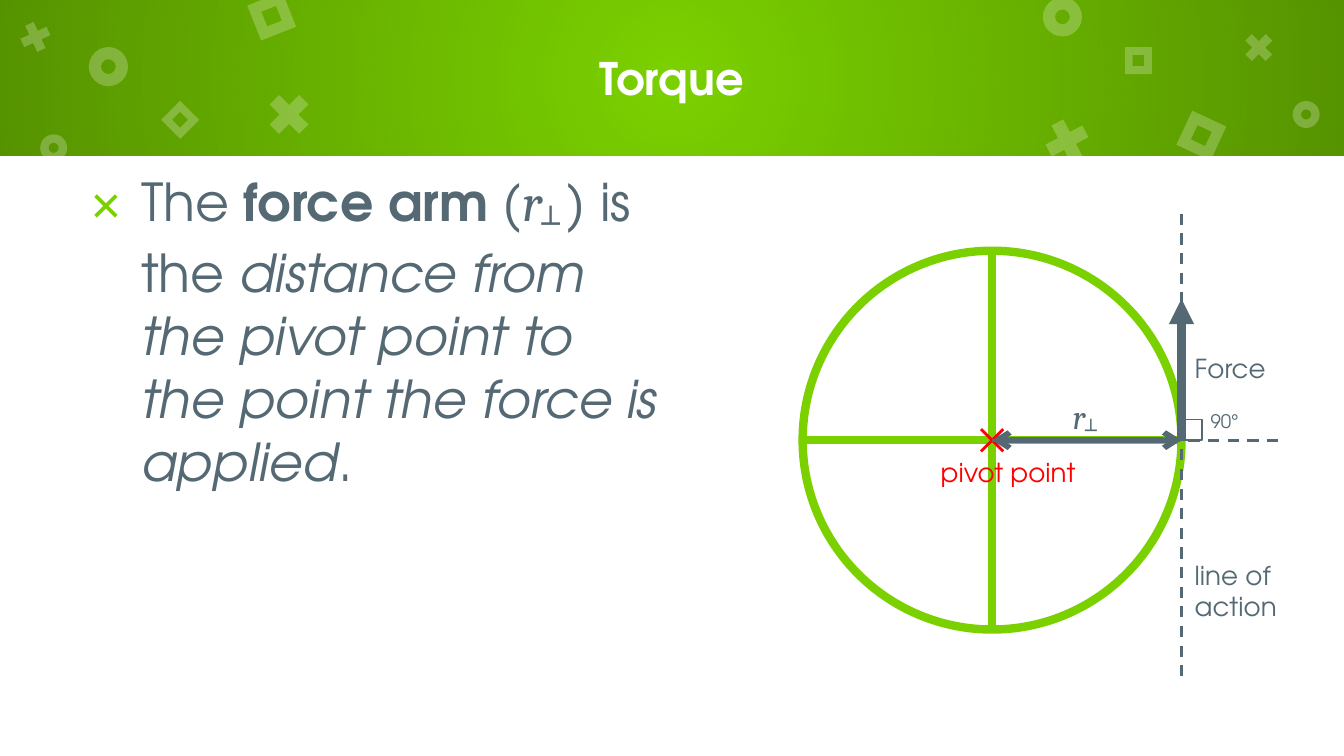
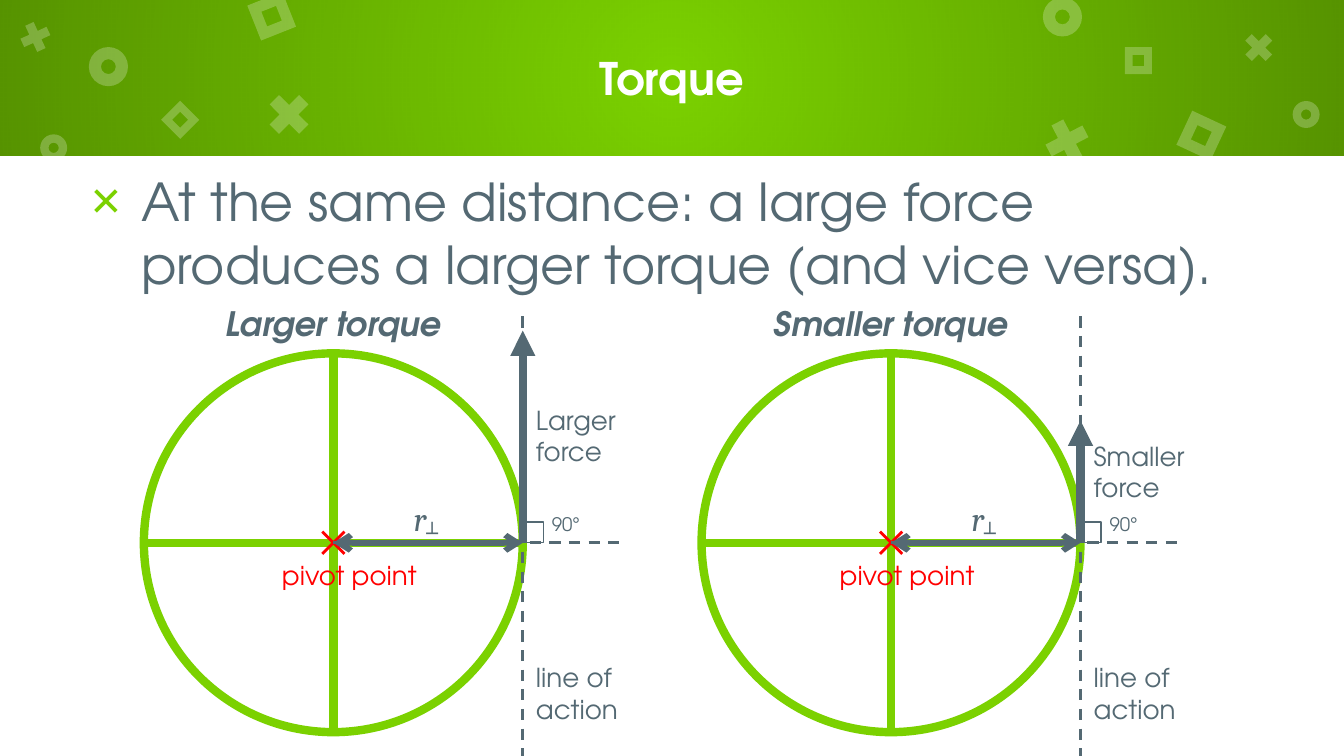
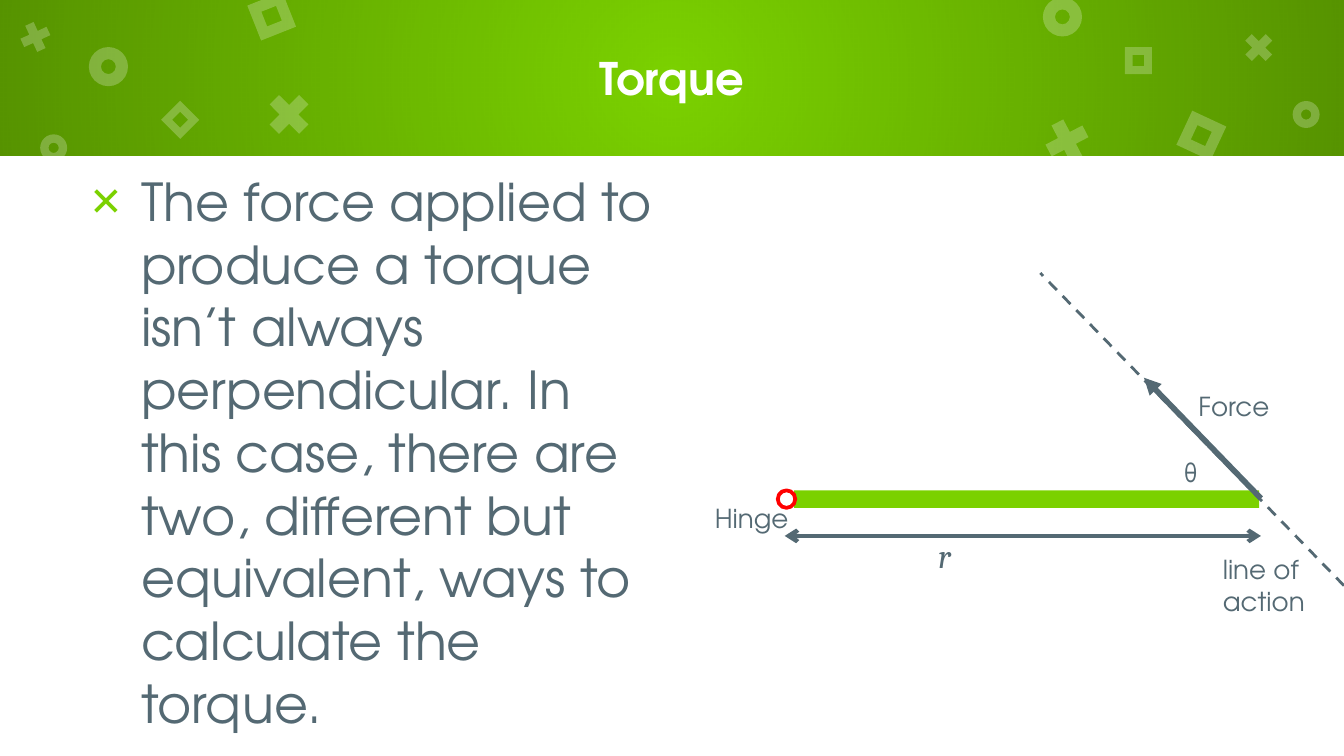
"""Build three slides that explain torque with wheel and hinge diagrams."""
from lxml.etree import SubElement
from pptx import Presentation
from pptx.dml.color import RGBColor
from pptx.enum.dml import MSO_LINE
from pptx.enum.shapes import MSO_CONNECTOR, MSO_SHAPE as SHAPE
from pptx.enum.text import MSO_ANCHOR, MSO_AUTO_SIZE, PP_ALIGN
from pptx.oxml import parse_xml
from pptx.oxml.ns import nsdecls, qn
from pptx.util import Cm, Pt

COLORS = {"green": "7BD100", "slate": "546973", "red": "FF0000",
          "white": "FFFFFF", "black": "000000"}
SANS, MATH = "TeX Gyre Adventor", "Cambria"
WIDTH, HEIGHT, BAND = 25.4, 14.29, 2.95
RADIUS = 3.58
ADJUST = {SHAPE.DONUT: 0.31, SHAPE.MATH_MULTIPLY: 0.235, SHAPE.FRAME: 0.289}
CONFETTI = [
    (SHAPE.DONUT, 1.68, 0.89, 0.74, 0),
    (SHAPE.MATH_MULTIPLY, 4.93, 1.63, 1.07, 0),
    (SHAPE.FRAME, 4.78, -0.05, 0.71, 338.4),
    (SHAPE.DONUT, 19.71, -0.05, 0.74, 0),
    (SHAPE.MATH_MULTIPLY, 19.63, 2.13, 1.07, 17.5),
    (SHAPE.FRAME, 22.35, 2.21, 0.71, 25),
    (SHAPE.DONUT, 0.76, 2.54, 0.51, 0),
    (SHAPE.MATH_MULTIPLY, 0.3, 0.33, 0.74, 20.4),
    (SHAPE.FRAME, 3.15, 2.01, 0.51, 45),
    (SHAPE.DONUT, 24.43, 1.91, 0.51, 0),
    (SHAPE.MATH_MULTIPLY, 23.42, 0.53, 0.74, 0),
    (SHAPE.FRAME, 21.26, 0.89, 0.51, 0),
]
R_PERP = [("r", {"font": MATH, "italic": True}),
          ("┴", {"font": MATH, "baseline": -25})]


def rgb(name):
    """Return the named colour."""
    return RGBColor.from_string(COLORS[name])


def add_shape(shapes, kind, x, y, w, h, fill=None, line=None, weight=1):
    """Add a preset shape with a plain fill or outline."""
    sp = shapes.add_shape(kind, Cm(x), Cm(y), Cm(w), Cm(h))
    sp.shadow.inherit = False
    if fill:
        sp.fill.solid()
        sp.fill.fore_color.rgb = rgb(fill)
    else:
        sp.fill.background()
    if line:
        sp.line.color.rgb = rgb(line)
        sp.line.width = Pt(weight)
    else:
        sp.line.fill.background()
    return sp


def add_line(shapes, x1, y1, x2, y2, weight=1.5, color="slate",
             dash=False, head=None, tail=None):
    """Add a straight line with optional dashes and arrowheads."""
    ln = shapes.add_connector(MSO_CONNECTOR.STRAIGHT,
                              Cm(x1), Cm(y1), Cm(x2), Cm(y2))
    ln.line.color.rgb = rgb(color)
    ln.line.width = Pt(weight)
    if dash:
        ln.line.dash_style = MSO_LINE.DASH
    spPr = ln._element.spPr
    for tag, end in (("a:headEnd", head), ("a:tailEnd", tail)):
        if end:
            SubElement(spPr.find(qn("a:ln")), qn(tag)).set("type", end)
    SubElement(spPr, qn("a:effectLst"))


def add_run(p, text, size, color, font=SANS, bold=False, italic=False,
            baseline=0):
    """Add one formatted run to a paragraph."""
    r = p.add_run()
    r.text = text
    r.font.name, r.font.size = font, Pt(size)
    r.font.bold, r.font.italic = bold, italic
    r.font.color.rgb = rgb(color)
    if baseline:
        r._r.get_or_add_rPr().set("baseline", str(baseline * 1000))


def add_text(shapes, x, y, w, h, runs, size=14, color="slate", align=None):
    """Add a wrapped text box made of (text, format) runs."""
    tf = shapes.add_textbox(Cm(x), Cm(y), Cm(w), Cm(h)).text_frame
    tf.word_wrap = True
    tf.auto_size = MSO_AUTO_SIZE.SHAPE_TO_FIT_TEXT
    p = tf.paragraphs[0]
    p.alignment = align
    for text, style in runs:
        add_run(p, text, size, color, **style)
    return tf


def add_label(shapes, text, x, y, w=2.26, h=0.86, **options):
    """Add a label in a single style."""
    add_text(shapes, x, y, w, h, [(text, {})], **options)


def set_area(tf):
    """Give a title or body its even margins and fixed size."""
    tf.auto_size = MSO_AUTO_SIZE.NONE
    tf.margin_top = tf.margin_bottom = Cm(0.25)


def add_body(s, runs, w=11.48, h=10.72):
    """Add the bulleted statement below the band."""
    tf = add_text(s.shapes, 1.22, BAND, w, h, runs, size=28)
    set_area(tf)
    pPr = tf.paragraphs[0]._p.get_or_add_pPr()
    pPr.set("marL", str(Cm(1.2)))
    pPr.set("indent", str(-Cm(0.95)))
    SubElement(SubElement(pPr, qn("a:buClr")),
               qn("a:srgbClr")).set("val", COLORS["green"])
    SubElement(pPr, qn("a:buFont")).set("typeface", SANS)
    SubElement(pPr, qn("a:buChar")).set("char", "×")


def add_band(s):
    """Add the band that darkens towards its ends."""
    spPr = add_shape(s.shapes, SHAPE.RECTANGLE, 0, 0, WIDTH, BAND)._element.spPr
    stops = "".join(
        f'<a:gs pos="{pos}"><a:srgbClr val="{COLORS["black"]}">'
        f'<a:alpha val="{alpha}"/></a:srgbClr></a:gs>'
        for pos, alpha in ((0, 0), (100000, 30000)))
    grad = parse_xml(
        f'<a:gradFill {nsdecls("a")}><a:gsLst>{stops}</a:gsLst>'
        '<a:path path="circle"><a:fillToRect l="50000" t="50000" '
        'r="50000" b="50000"/></a:path></a:gradFill>')
    spPr.replace(spPr.find(qn("a:noFill")), grad)


def add_confetti(s):
    """Scatter the translucent symbols over the band."""
    for kind, x, y, size, turn in CONFETTI:
        sp = add_shape(s.shapes, kind, x, y, size, size, fill="white")
        sp.adjustments[0] = ADJUST[kind]
        sp.rotation = turn
        clr = sp._element.spPr.find(qn("a:solidFill")).find(qn("a:srgbClr"))
        SubElement(clr, qn("a:alpha")).set("val", "24000")


def add_slide(prs, title):
    """Add a slide with the shared backdrop and title."""
    s = prs.slides.add_slide(prs.slide_layouts[6])
    s.background.fill.solid()
    s.background.fill.fore_color.rgb = rgb("green")
    add_band(s)
    add_shape(s.shapes, SHAPE.RECTANGLE, 0, BAND, WIDTH, HEIGHT - BAND,
              fill="white")
    add_confetti(s)
    tf = add_text(s.shapes, 2.41, 0, 20.57, BAND, [(title, {"bold": True})],
                  size=24, color="white", align=PP_ALIGN.CENTER)
    set_area(tf)
    tf.vertical_anchor = MSO_ANCHOR.MIDDLE
    return s


def add_pivot(shapes, x, y, arm=0.21):
    """Mark the pivot point with a cross."""
    cross = shapes.add_group_shape().shapes
    for side in (-arm, arm):
        add_line(cross, x + side, y - arm, x - side, y + arm, color="red")


def add_wheel(s, x, y, force, force_text, label_y, label_h=0.86, caption=None):
    """Draw a wheel whose rim is pushed upwards at the point x, y."""
    g = s.shapes.add_group_shape().shapes
    hub = x - RADIUS
    add_label(g, "line of action", x, y + 2.12, h=1.45)
    add_shape(g, SHAPE.FLOWCHART_OR, hub - RADIUS, y - RADIUS,
              2 * RADIUS, 2 * RADIUS, line="green", weight=4.5)
    add_line(g, x, y - 4.28, x, y + 4.62, dash=True)
    add_line(g, x, y, x, y - force, weight=4.5, tail="triangle")
    add_label(g, force_text, x, y - label_y, h=label_h)
    add_pivot(g, hub, y)
    add_label(g, "pivot point", x - 4.8, y + 0.18, w=3.2, color="red")
    add_line(g, hub, y, x + 1.88, y, dash=True)
    add_line(g, x, y, hub, y, weight=3, head="arrow", tail="arrow")
    add_text(g, x - 2.31, y - 0.97, 1.19, 1.02, R_PERP, size=18)
    add_shape(g, SHAPE.RECTANGLE, x, y - 0.39, 0.39, 0.39,
              line="slate", weight=0.75)
    add_label(g, "90°", x + 0.3, y - 0.69, w=1.17, h=0.69, size=10)
    if caption:
        add_text(g, hub - 2.54, y - 4.65, 5.08, 1.02,
                 [(caption, {"bold": True, "italic": True})],
                 size=18, align=PP_ALIGN.CENTER)


def add_hinged_bar(s):
    """Draw a hinged bar pulled at an angle."""
    bar = s.shapes.add_group_shape().shapes
    add_shape(bar, SHAPE.RECTANGLE, 15.01, 9.27, 8.79, 0.33, fill="green")
    add_shape(bar, SHAPE.OVAL, 14.7, 9.27, 0.33, 0.33, line="red", weight=2)
    add_line(s.shapes, 25.4, 11.07, 19.66, 5.16, dash=True)
    add_line(s.shapes, 23.83, 9.42, 21.62, 7.14, weight=3, tail="triangle")
    add_label(s.shapes, "Force", 22.4, 7.26)
    add_label(s.shapes, "θ", 22.12, 8.51, w=1.17)
    add_label(s.shapes, "line of action", 22.86, 10.34, h=1.45)
    add_label(s.shapes, "Hinge", 13.26, 9.37)
    span = s.shapes.add_group_shape().shapes
    add_line(span, 23.83, 10.13, 14.83, 10.13, weight=2.25,
             head="arrow", tail="arrow")
    add_text(span, 17.48, 9.98, 1.19, 1.02, R_PERP[:1], size=18)


def main():
    """Build and save the presentation."""
    prs = Presentation()
    prs.slide_width, prs.slide_height = Cm(WIDTH), Cm(HEIGHT)

    s = add_slide(prs, "Torque")
    add_body(s, [
        ("The ", {}),
        ("force arm", {"bold": True}),
        (" (", {}),
        ("r", {"font": MATH, "italic": True}),
        ("┴ ", {"font": MATH, "baseline": -25}),
        (") is the", {}),
        (" distance from the pivot point to the point the force is applied",
         {"italic": True}),
        (".", {}),
    ])
    add_wheel(s, 22.33, 8.32, 2.67, "Force", 1.78)

    s = add_slide(prs, "Torque")
    add_body(s, [("At the same distance: a large force produces a larger "
                  "torque (and vice versa).", {})], w=22.99, h=2.84)
    for x, size, force, label_y in ((9.88, "Larger", 4.01, 2.74),
                                    (20.42, "Smaller", 2.31, 2.06)):
        add_wheel(s, x, 10.26, force, f"{size} force", label_y, label_h=1.45,
                  caption=f"{size} torque")

    s = add_slide(prs, "Torque")
    add_body(s, [("The force applied to produce a torque isn’t always "
                  "perpendicular. In this case, there are two, different but "
                  "equivalent, ways to calculate the torque.", {})])
    add_hinged_bar(s)

    prs.save("out.pptx")


if __name__ == "__main__":
    main()
